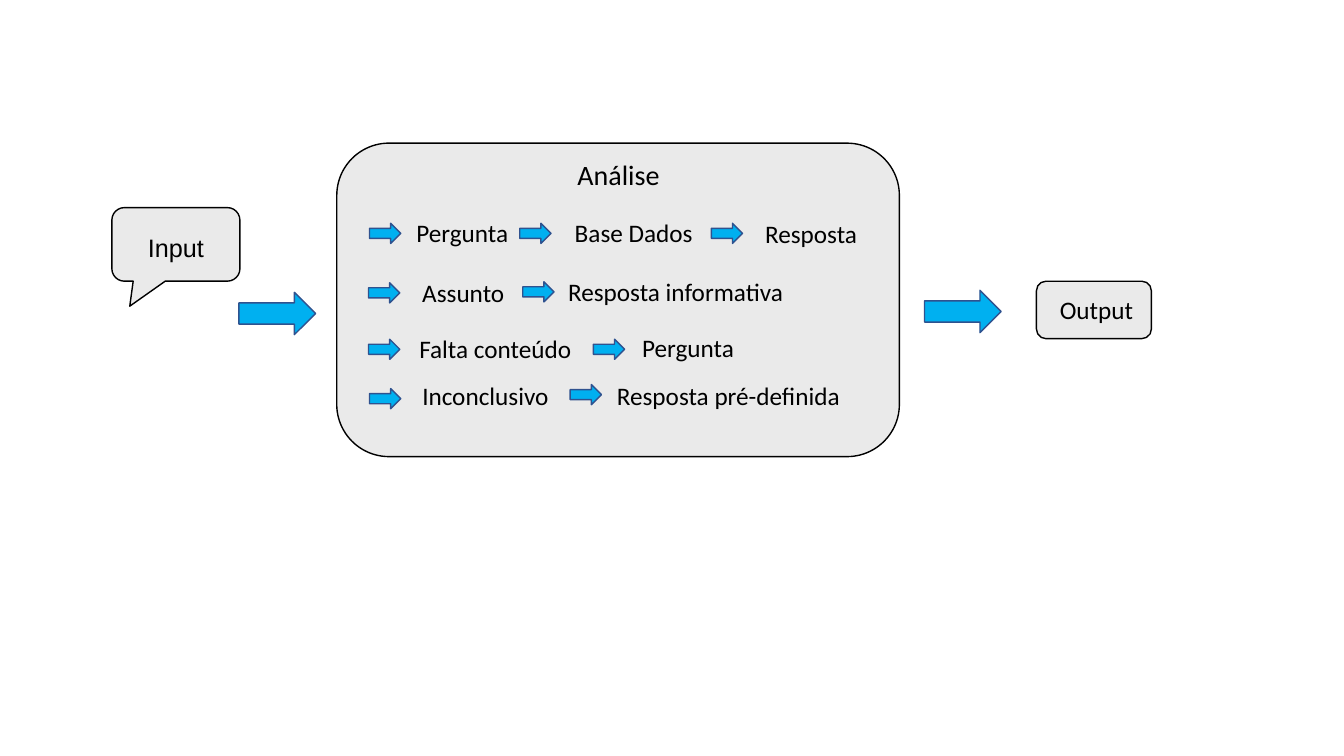
import pptx
import pptx.dml.color
import pptx.enum.shapes
import pptx.enum.text
import pptx.util

Inches = pptx.util.Inches
Pt = pptx.util.Pt
SHAPE = pptx.enum.shapes.MSO_SHAPE
ALIGN = pptx.enum.text.PP_ALIGN


def color(code):
    return pptx.dml.color.RGBColor.from_string(code)


def write(frame, text, font="Calibri", size=18, ink="000000", align=ALIGN.CENTER):
    para = frame.paragraphs[0]
    para.alignment = align
    run = para.add_run()
    run.text = text
    run.font.name = font
    run.font.size = Pt(size)
    run.font.color.rgb = color(ink)


class Flow:
    grey, blue = "EAEAEA", "00B0F0"
    black, navy = "000000", "2F528F"

    def __init__(self, slide):
        self.slide = slide

    def shape(self, kind, left, top, width, height, fill, line):
        item = self.slide.shapes.add_shape(
            kind, Inches(left), Inches(top), Inches(width), Inches(height))
        item.shadow.inherit = False
        item.fill.solid()
        item.fill.fore_color.rgb = color(fill)
        item.line.color.rgb = color(line)
        item.line.width = Pt(1)
        return item

    def box(self, left, top, width, height, kind=SHAPE.ROUNDED_RECTANGLE):
        return self.shape(kind, left, top, width, height, self.grey, self.black)

    def arrow(self, left, top, width=0.2, height=0.31):
        """Draw a down arrow turned to point right; the frame is the unturned one."""
        item = self.shape(SHAPE.DOWN_ARROW, left, top, width, height,
                          self.blue, self.navy)
        item.rotation = 270

    def label(self, text, left, top, width, height=0.4, **style):
        item = self.slide.shapes.add_textbox(
            Inches(left), Inches(top), Inches(width), Inches(height))
        frame = item.text_frame
        frame.word_wrap = True
        flush = style.get("align") == ALIGN.LEFT
        frame.margin_left = Inches(0.1 if flush else 0)
        frame.margin_right = 0
        write(frame, text, **style)


# Each step: arrow left, arrow top, text, text left, text top, text width
ROWS = [
    (ALIGN.CENTER, [(3.72, 2.16, "Pergunta", 4.02, 2.11, 1.13),
                    (5.21, 2.16, "Base Dados", 5.6, 2.11, 1.37),
                    (7.11, 2.16, "Resposta", 7.48, 2.12, 1.13)]),
    (ALIGN.CENTER, [(3.71, 2.75, "Assunto", 4.03, 2.7, 1.13),
                    (5.24, 2.74, "Resposta informativa", 5.49, 2.69, 2.42)]),
    (ALIGN.LEFT, [(3.71, 3.31, "Falta conteúdo", 4.06, 3.26, 1.79),
                  (5.94, 3.31, "Pergunta", 6.27, 3.25, 1.13)]),
    (ALIGN.LEFT, [(3.72, 3.8, "Inconclusivo", 4.09, 3.72, 1.54),
                  (5.71, 3.76, "Resposta pré-definida", 6.02, 3.72, 2.55)]),
]


def main():
    deck = pptx.Presentation()
    deck.slide_width = Inches(13.33)
    deck.slide_height = Inches(7.5)
    flow = Flow(deck.slides.add_slide(deck.slide_layouts[6]))

    flow.box(3.34, 1.42, 5.58, 3.11)
    flow.label("Análise", 3.36, 1.51, 5.55, 0.44, size=20)

    bubble = flow.box(1.11, 2.06, 1.27, 0.73, SHAPE.ROUNDED_RECTANGULAR_CALLOUT)
    for index, value in enumerate((-0.36, 0.84, 0.17)):
        bubble.adjustments[index] = value
    flow.label("Input", 1.11, 2.26, 1.27, font="Arial")
    flow.arrow(2.54, 2.73, 0.42, 0.76)

    for align, steps in ROWS:
        for left, top, text, *place in steps:
            flow.arrow(left, top)
            flow.label(text, *place, align=align)

    flow.arrow(9.34, 2.71, 0.42, 0.76)
    flow.box(10.28, 2.79, 1.14, 0.57)
    flow.label("Output", 10.31, 2.87, 1.13)

    deck.save("out.pptx")


if __name__ == "__main__":
    main()
